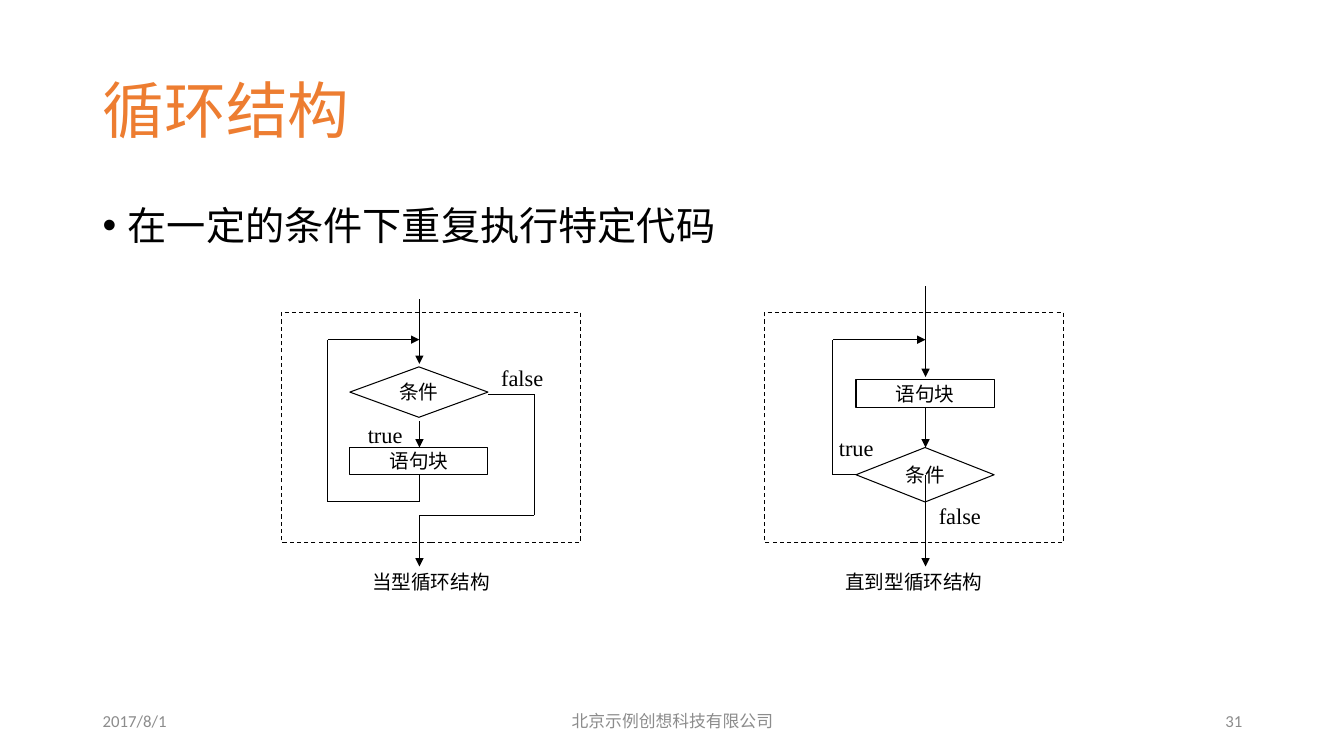
from pptx import Presentation
from pptx.dml.color import RGBColor
from pptx.enum.dml import MSO_LINE
from pptx.enum.shapes import MSO_CONNECTOR, MSO_SHAPE
from pptx.enum.text import MSO_ANCHOR, MSO_AUTO_SIZE, PP_ALIGN
from pptx.oxml.ns import qn
from pptx.util import Inches, Pt
from lxml import etree

LEFT, CENTER, RIGHT = PP_ALIGN.LEFT, PP_ALIGN.CENTER, PP_ALIGN.RIGHT
TOP, MIDDLE = MSO_ANCHOR.TOP, MSO_ANCHOR.MIDDLE
RECT, DIAMOND = MSO_SHAPE.RECTANGLE, MSO_SHAPE.DIAMOND
STRAIGHT = MSO_CONNECTOR.STRAIGHT
DASH = MSO_LINE.DASH
NO_FIT = MSO_AUTO_SIZE.NONE
CJK, SERIF, SANS = "Noto Sans CJK SC", "Times New Roman", "Calibri"
BLACK, ORANGE, GRAY = "000000", "ED7D31", "8C8C8C"
FRAME_W, FRAME_H = 2.97, 2.28
NODE_W, NODE_H = 1.37, 0.27


def rgb(value):
    """Turn a hex string into a colour."""
    return RGBColor.from_string(value)


def write(s, text, size, font, color=BLACK, align=CENTER, anchor=TOP, inset=(0, 0)):
    """Put one formatted paragraph into a shape and return the paragraph."""
    tf = s.text_frame
    tf.word_wrap = True
    tf.auto_size = NO_FIT
    tf.vertical_anchor = anchor
    tf.margin_left = tf.margin_right = Inches(inset[0])
    tf.margin_top = tf.margin_bottom = Inches(inset[1])
    tf.text = text
    p = tf.paragraphs[0]
    p.alignment = align
    r = p.runs[0]
    r.font.size = Pt(size)
    r.font.name = font
    r.font.color.rgb = rgb(color)
    ea = etree.SubElement(r.font._element, qn("a:ea"))
    ea.set("typeface", CJK)
    return p


def add_text(slide, x, y, w, h, text, size, font, **style):
    """Add a text box and return its paragraph."""
    s = slide.shapes.add_textbox(Inches(x), Inches(y), Inches(w), Inches(h))
    return write(s, text, size, font, **style)


def add_title(slide, text):
    """Place and format the title placeholder."""
    s = slide.shapes.title
    s.left, s.top, s.width, s.height = Inches(0.92), Inches(0.4), Inches(8.69), Inches(1.45)
    p = write(s, text, 44, CJK, ORANGE, LEFT, MIDDLE, (0.1, 0.05))
    p.line_spacing = 0.9


def add_bullet(slide, text):
    """Add the bulleted statement under the title."""
    p = add_text(slide, 0.92, 2, 11.5, 0.7, text, 28, CJK, align=LEFT, inset=(0.1, 0.05))
    p.line_spacing = 0.9
    p.space_before = Pt(10)
    pPr = p._p.get_or_add_pPr()
    pPr.set("marL", str(Inches(0.25)))
    pPr.set("indent", str(Inches(-0.25)))
    etree.SubElement(pPr, qn("a:buFont")).set("typeface", "Arial")
    etree.SubElement(pPr, qn("a:buChar")).set("char", "•")


def add_outline(slide, kind, x, y, w, h, text="", dash=None):
    """Add an unfilled outlined shape, with centred text if given."""
    s = slide.shapes.add_shape(kind, Inches(x), Inches(y), Inches(w), Inches(h))
    s.shadow.inherit = False
    s.fill.background()
    s.line.color.rgb = rgb(BLACK)
    s.line.width = Pt(0.75)
    if dash:
        s.line.dash_style = dash
    if text:
        write(s, text, 14, SERIF, anchor=MIDDLE)


def add_flow(slide, *points, arrow=True):
    """Join the points with straight lines, the last one with an arrowhead."""
    for start, end in zip(points, points[1:]):
        s = slide.shapes.add_connector(STRAIGHT, *(Inches(v) for v in start + end))
        s.line.color.rgb = rgb(BLACK)
        s.line.width = Pt(0.75)
        if arrow and end == points[-1]:
            tail = etree.SubElement(s.line._get_or_add_ln(), qn("a:tailEnd"))
            tail.set("type", "triangle")
        etree.SubElement(s._element.spPr, qn("a:effectLst"))


def add_frame(slide, x, caption):
    """Add the dashed frame of a loop and the caption under it."""
    add_outline(slide, RECT, x, 3.1, FRAME_W, FRAME_H, dash=DASH)
    add_text(slide, x, 5.65, FRAME_W, NODE_H, caption, 14, SERIF)


def add_while_loop(slide):
    """Draw the loop that tests its condition first."""
    axis, back, leave = 4.16, 3.25, 5.3
    node_x = 3.47
    add_frame(slide, 2.79, "当型循环结构")
    add_outline(slide, DIAMOND, node_x, 3.64, NODE_W, 0.5, "条件")
    add_outline(slide, RECT, node_x, 4.44, NODE_W, NODE_H, "语句块")
    add_flow(slide, (axis, 2.97), (axis, 3.61))
    add_flow(slide, (axis, 4.18), (axis, 4.44))
    add_flow(slide, (axis, 4.71), (axis, 4.98), (back, 4.98), (back, 3.37), (axis, 3.37))
    add_flow(slide, (node_x + NODE_W, 3.91), (leave, 3.91), (leave, 5.11),
             (axis, 5.11), (axis, 5.62))
    add_text(slide, 3.25, 4.18, 1.14, NODE_H, "true", 16, SERIF)
    add_text(slide, 4.61, 3.61, 1.14, NODE_H, "false", 16, SERIF)


def add_until_loop(slide):
    """Draw the loop that tests its condition last."""
    axis, back = 9.18, 8.26
    node_x = 8.49
    add_frame(slide, 7.58, "直到型循环结构")
    add_outline(slide, RECT, node_x, 3.77, NODE_W, NODE_H, "语句块")
    add_outline(slide, DIAMOND, node_x, 4.44, NODE_W, 0.54, "条件")
    add_flow(slide, (axis, 2.84), (axis, 3.74))
    add_flow(slide, (axis, 4.04), (axis, 4.44))
    add_flow(slide, (axis, 4.71), (axis, 5.62))
    add_flow(slide, (node_x, 4.71), (back, 4.71), (back, 3.37), (axis, 3.37))
    add_text(slide, 8.32, 4.31, 0.85, NODE_H, "true", 16, SERIF, align=LEFT)
    add_text(slide, 8.95, 4.98, 1.14, NODE_H, "false", 16, SERIF)


def add_footer(slide):
    """Add the date, the company and the slide number."""
    for x, w, text, font, align in (
        (0.92, 3, "2017/8/1", SANS, LEFT),
        (4.42, 4.5, "北京示例创想科技有限公司", CJK, CENTER),
        (9.42, 3, "31", SANS, RIGHT),
    ):
        add_text(slide, x, 6.95, w, 0.4, text, 12, font, color=GRAY,
                 align=align, anchor=MIDDLE, inset=(0.1, 0.05))


def main():
    """Build the slide and save it."""
    prs = Presentation()
    prs.slide_width, prs.slide_height = Inches(13.33), Inches(7.5)
    slide = prs.slides.add_slide(prs.slide_layouts[5])
    add_title(slide, "循环结构")
    add_bullet(slide, "在一定的条件下重复执行特定代码")
    add_while_loop(slide)
    add_until_loop(slide)
    add_footer(slide)
    prs.save("out.pptx")


if __name__ == "__main__":
    main()
